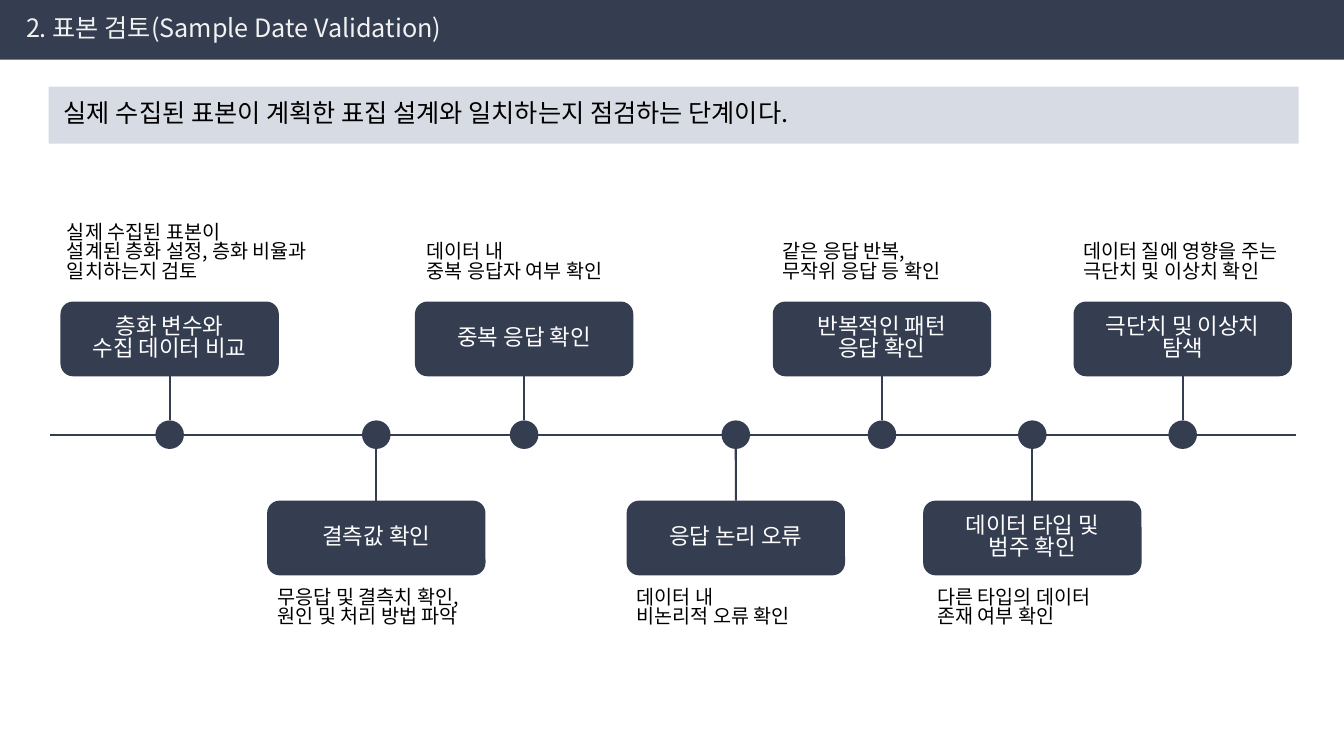
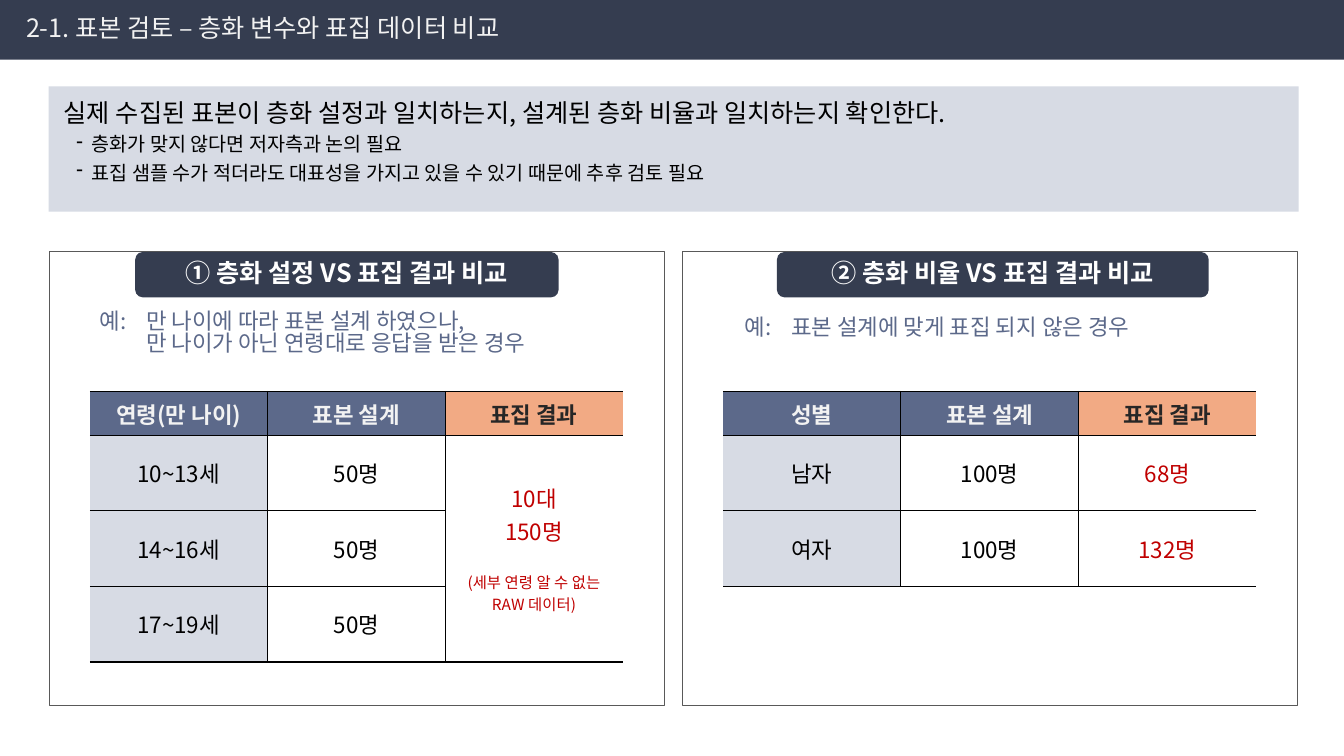
from dataclasses import dataclass

import lxml.etree
import pptx
import pptx.dml.color
import pptx.enum.shapes
import pptx.enum.text
import pptx.oxml.ns
import pptx.util

SHAPE = pptx.enum.shapes.MSO_SHAPE
ANCHOR = pptx.enum.text.MSO_ANCHOR
ALIGN = pptx.enum.text.PP_ALIGN
qn = pptx.oxml.ns.qn


@dataclass(frozen=True)
class Theme:
    font: str = "Noto Sans CJK KR"
    navy: str = "353D50"
    slate: str = "5C698A"
    mist: str = "D7DBE4"
    peach: str = "F2AA84"
    red: str = "C00000"
    black: str = "000000"
    white: str = "FFFFFF"
    pale: str = "F2F2F2"
    charcoal: str = "262626"
    frame: str = "595959"
    lead: float = 18
    body: float = 16
    note: float = 14
    small: float = 11
    tight: float = 0.83
    columns: int = 160
    rows: int = 90


@dataclass(frozen=True)
class Step:
    center: float
    heading: tuple
    note: tuple
    shift: float = 0
    note_width: float = 26.4


THEME = Theme()
CELL = pptx.util.Inches(13.333333) / THEME.columns


def grid(*lengths):
    return [pptx.util.Emu(round(length * CELL)) for length in lengths]


def rgb(color):
    return pptx.dml.color.RGBColor.from_string(color)


def write(frame, paragraphs, **style):
    frame.word_wrap = True
    for index, entry in enumerate(paragraphs):
        text, own = entry if isinstance(entry, tuple) else (entry, {})
        look = {**style, **own}
        paragraph = frame.paragraphs[0] if index == 0 else frame.add_paragraph()
        paragraph.alignment = look.get("align", ALIGN.LEFT)
        paragraph.line_spacing = look.get("spacing", THEME.tight)
        paragraph.space_before = pptx.util.Pt(look.get("before", 0))
        run = paragraph.add_run()
        run.text = text
        run.font.size = pptx.util.Pt(look["size"])
        run.font.bold = look.get("bold", False)
        run.font.color.rgb = rgb(look.get("color", THEME.black))
        run.font.name = THEME.font
        properties = run.font._element
        lxml.etree.SubElement(properties, qn("a:ea"), typeface=THEME.font)
        layout = paragraph._p.get_or_add_pPr()
        if "bullet" in look:
            margin, hang = grid(*look["bullet_at"])
            layout.set("marL", str(margin))
            layout.set("indent", str(-hang))
            lxml.etree.SubElement(layout, qn("a:buChar"), char=look["bullet"])
        if "tab" in look:
            stops = lxml.etree.SubElement(layout, qn("a:tabLst"))
            lxml.etree.SubElement(stops, qn("a:tab"), pos=str(grid(look["tab"])[0]), algn="l")


class Deck:
    def __init__(self, theme):
        self.theme = theme
        self.presentation = pptx.Presentation()
        self.presentation.slide_width, self.presentation.slide_height = grid(
            theme.columns, theme.rows)
        self.slide = None

    def new_slide(self, heading):
        self.slide = self.presentation.slides.add_slide(self.presentation.slide_layouts[5])
        title = self.slide.shapes.title
        title.left, title.top, title.width, title.height = grid(0, 0, self.theme.columns, 7.1)
        title.fill.solid()
        title.fill.fore_color.rgb = rgb(self.theme.navy)
        frame = title.text_frame
        frame.auto_size = pptx.enum.text.MSO_AUTO_SIZE.NONE
        frame.vertical_anchor = ANCHOR.MIDDLE
        frame.margin_left = grid(3.1)[0]
        write(frame, [heading], size=self.theme.lead, color=self.theme.pale)

    def block(self, kind, box, fill=None, outline=None):
        shape = self.slide.shapes.add_shape(kind, *grid(*box))
        shape.shadow.inherit = False
        if fill:
            shape.fill.solid()
            shape.fill.fore_color.rgb = rgb(fill)
        else:
            shape.fill.background()
        if outline:
            shape.line.color.rgb = rgb(outline)
            shape.line.width = pptx.util.Pt(0.75)
        else:
            shape.line.fill.background()
        return shape

    def label(self, box, lines, **style):
        shape = self.block(SHAPE.ROUNDED_RECTANGLE, box, self.theme.navy)
        shape.text_frame.vertical_anchor = ANCHOR.MIDDLE
        write(shape.text_frame, lines, color=self.theme.white, align=ALIGN.CENTER, **style)
        return shape

    def text(self, box, lines, anchor=ANCHOR.TOP, **style):
        frame = self.slide.shapes.add_textbox(*grid(*box)).text_frame
        frame.vertical_anchor = anchor
        write(frame, lines, **style)

    def summary(self, height, lines):
        band = self.block(SHAPE.RECTANGLE, (5.8, 10.3, 148.8, height), self.theme.mist)
        frame = band.text_frame
        frame.vertical_anchor = ANCHOR.TOP
        frame.margin_left, frame.margin_top = grid(1.8, 1.3)
        write(frame, lines, size=self.theme.lead, spacing=1.0)

    def line(self, start, end):
        connector = self.slide.shapes.add_connector(
            pptx.enum.shapes.MSO_CONNECTOR.STRAIGHT, *grid(*start, *end))
        connector.line.color.rgb = rgb(self.theme.navy)
        connector.line.width = pptx.util.Pt(1.5)
        lxml.etree.SubElement(connector._element.spPr, qn("a:effectLst"))
        return connector

    def step(self, step, above, axis):
        width, height, node = 26, 8.9, 3.4
        left = step.center - width / 2
        top = 35.9 if above else 59.6
        heading = self.label((left, top, width, height), step.heading, size=self.theme.body)
        side = -1 if above else 1
        box_edge = top + height if above else top
        stem = self.line((step.center, box_edge), (step.center, axis + side * node / 2))
        stem.begin_connect(heading, 2 if above else 0)
        self.block(SHAPE.OVAL, (step.center - node / 2, axis - node / 2, node, node),
                   self.theme.navy)
        note_top, note_height = (24.5, 9.7) if above else (69.5, 6.8)
        self.text((left + step.shift, note_top, step.note_width, note_height), step.note,
                  ANCHOR.BOTTOM if above else ANCHOR.TOP, size=self.theme.note)

    def borders(self, cell, visible):
        properties = cell._tc.get_or_add_tcPr()
        for index, (edge, shown) in enumerate(visible.items()):
            border = lxml.etree.Element(qn("a:ln" + edge), w=str(pptx.util.Pt(1)))
            if shown:
                fill = lxml.etree.SubElement(border, qn("a:solidFill"))
                lxml.etree.SubElement(fill, qn("a:srgbClr"), val=self.theme.black)
            else:
                lxml.etree.SubElement(border, qn("a:noFill"))
            properties.insert(index, border)

    def table(self, left, top, content, merged=None):
        theme = self.theme
        column, header, row_height = 21.15, 5.2, 9
        count, last = len(content), len(content[0]) - 1
        table = self.slide.shapes.add_table(count, last + 1, *grid(
            left, top, column * (last + 1), header + row_height * (count - 1))).table
        table.first_row = table.horz_banding = False
        for each in table.columns:
            each.width = grid(column)[0]
        for r, texts in enumerate(content):
            table.rows[r].height = grid(row_height if r else header)[0]
            fills = (theme.mist, theme.white, theme.white) if r else (
                theme.slate, theme.slate, theme.peach)
            inks = (theme.black, theme.black, theme.red) if r else (
                theme.pale, theme.pale, theme.charcoal)
            for c, lines in enumerate(texts):
                cell = table.cell(r, c)
                cell.fill.solid()
                cell.fill.fore_color.rgb = rgb(fills[c])
                cell.vertical_anchor = ANCHOR.MIDDLE
                self.borders(cell, {"L": c > 0, "R": c < last, "T": True, "B": True})
                write(cell.text_frame, lines, size=theme.body, color=inks[c], bold=r == 0,
                      align=ALIGN.CENTER, spacing=1.0)
        if merged:
            first, final = merged
            table.cell(*first).merge(table.cell(*final))

    def comparison(self, left, label_box, heading, example_box, example, content, merged=None):
        top = 29.9
        self.block(SHAPE.RECTANGLE, (left, top, 73.2, 54.1), outline=self.theme.frame)
        label_left, label_width = label_box
        self.label((left + label_left, top + 0.1, label_width, 5.4), [heading],
                   size=self.theme.lead, bold=True)
        example_left, example_top = example_box
        self.text((left + example_left, example_top, 58.7, 7.7), example,
                  size=self.theme.body, color=self.theme.slate, tab=5.5)
        self.table(left + 4.8, 46.6, content, merged)


def validation_slide(deck):
    deck.new_slide("2. 표본 검토(Sample Date Validation)")
    deck.summary(6.8, ["실제 수집된 표본이 계획한 표집 설계와 일치하는지 점검하는 단계이다."])
    axis = 51.75
    deck.line((5.9, axis), (154.3, axis))
    steps = [
        Step(20.2, ("층화 변수와", "수집 데이터 비교"),
             ("실제 수집된 표본이", "설계된 층화 설정, 층화 비율과", "일치하는지 검토"), -0.4, 33.6),
        Step(44.8, ("결측값 확인",), ("무응답 및 결측치 확인, 원인 및 처리 방법 파악",), 0.1),
        Step(62.4, ("중복 응답 확인",), ("데이터 내", "중복 응답자 여부 확인"), 0.2),
        Step(87.6, ("응답 논리 오류",), ("데이터 내", "비논리적 오류 확인")),
        Step(105, ("반복적인 패턴", "응답 확인"), ("같은 응답 반복,", "무작위 응답 등 확인")),
        Step(122.9, ("데이터 타입 및", "범주 확인"), ("다른 타입의 데이터", "존재 여부 확인"), 0.5),
        Step(140.8, ("극단치 및 이상치", "탐색"), ("데이터 질에 영향을 주는 극단치 및 이상치 확인",)),
    ]
    for index, step in enumerate(steps):
        deck.step(step, index % 2 == 0, axis)


def comparison_slide(deck):
    theme = deck.theme
    deck.new_slide("2-1. 표본 검토 – 층화 변수와 표집 데이터 비교")
    dash = dict(size=theme.note, spacing=1.2, bullet="-", bullet_at=(3.3, 1.8))
    deck.summary(14.9, [
        "실제 수집된 표본이 층화 설정과 일치하는지, 설계된 층화 비율과 일치하는지 확인한다.",
        ("층화가 맞지 않다면 저자측과 논의 필요", dash),
        ("표집 샘플 수가 적더라도 대표성을 가지고 있을 수 있기 때문에 추후 검토 필요", dash),
    ])
    design = ["표본 설계"], ["표집 결과"]
    result = ["10대", "150명",
              ("(세부 연령 알 수 없는", dict(size=theme.small, before=17)),
              ("RAW 데이터)", dict(size=theme.small))]
    deck.comparison(
        5.9, (10.2, 50.4), "① 층화 설정 VS 표집 결과 비교",
        (4.8, 36.5), ["예:\t만 나이에 따라 표본 설계 하였으나,", "\t만 나이가 아닌 연령대로 응답을 받은 경우"],
        [[["연령(만 나이)"], *design],
         [["10~13세"], ["50명"], result],
         [["14~16세"], ["50명"], []],
         [["17~19세"], ["50명"], []]],
        merged=((1, 2), (3, 2)))
    deck.comparison(
        81.3, (11.2, 51.4), "② 층화 비율 VS 표집 결과 비교",
        (6.2, 37.2), ["예:\t표본 설계에 맞게 표집 되지 않은 경우"],
        [[["성별"], *design],
         [["남자"], ["100명"], ["68명"]],
         [["여자"], ["100명"], ["132명"]]])


def main():
    deck = Deck(THEME)
    validation_slide(deck)
    comparison_slide(deck)
    deck.presentation.save("out.pptx")


if __name__ == "__main__":
    main()
